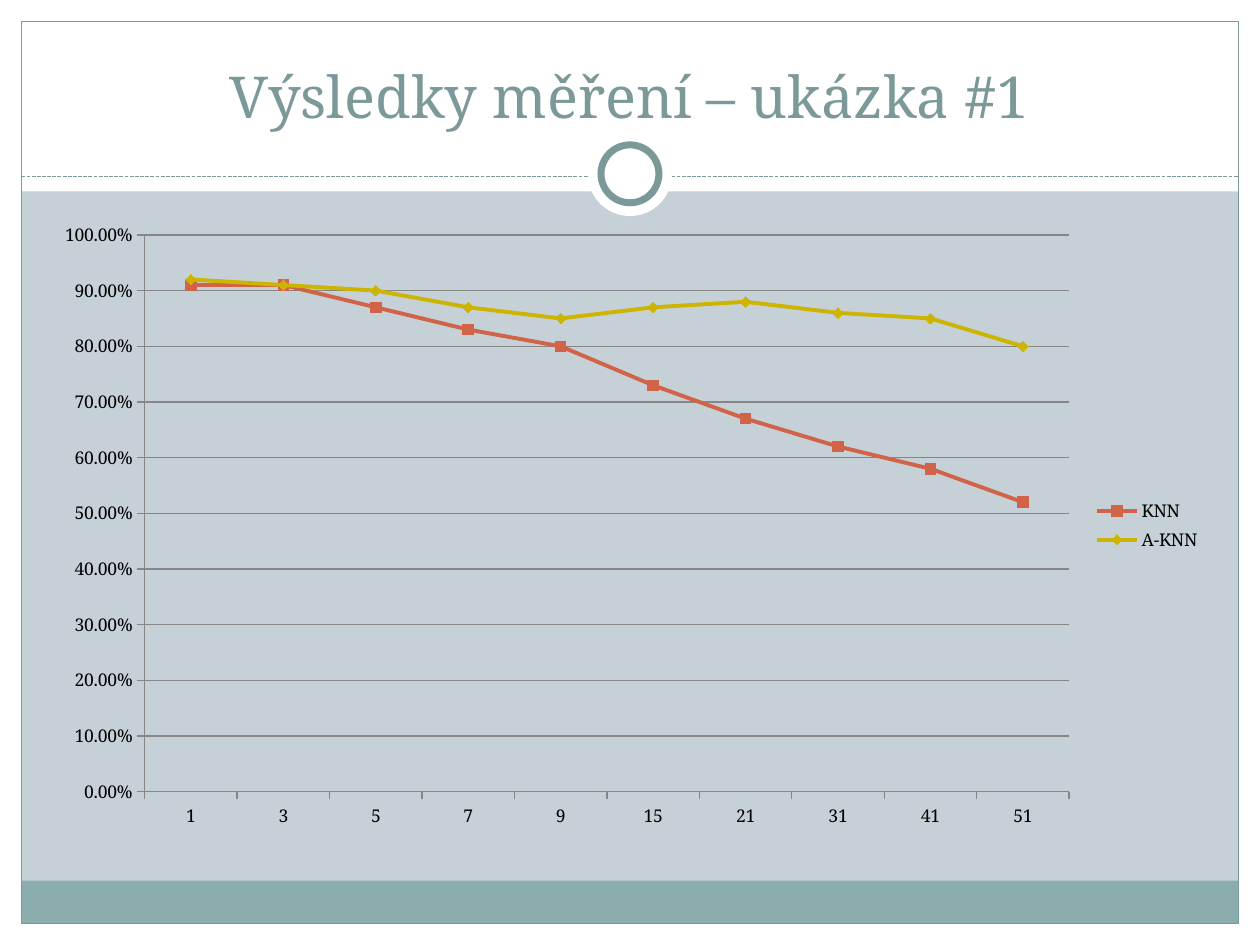
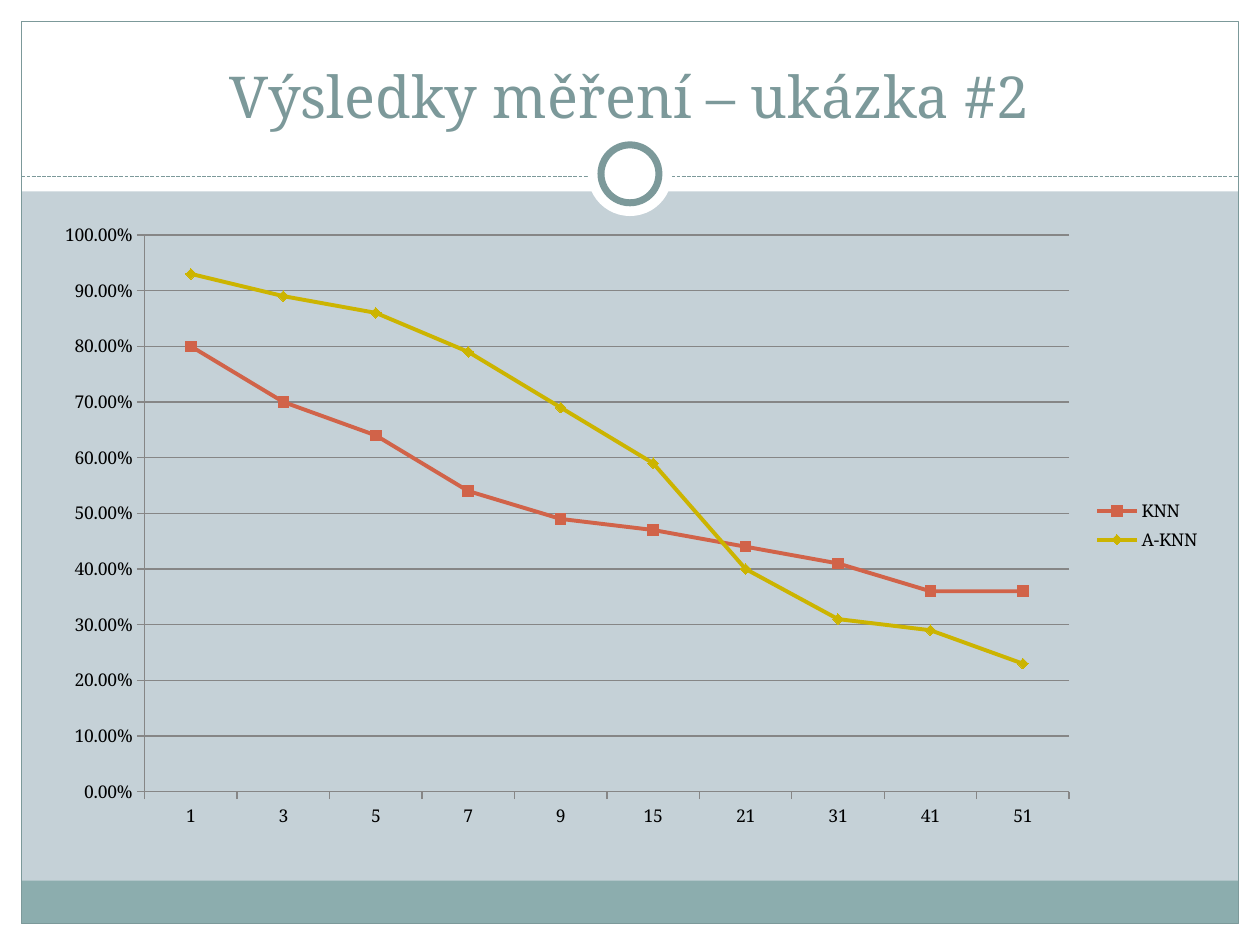
"""Two slides of measurement results, each a line chart in a shared frame."""
from dataclasses import dataclass

from lxml import etree
from pptx import Presentation
from pptx.chart.data import CategoryChartData
from pptx.dml.color import RGBColor
from pptx.enum.chart import (XL_CHART_TYPE, XL_LEGEND_POSITION,
                             XL_MARKER_STYLE, XL_TICK_MARK)
from pptx.enum.dml import MSO_LINE
from pptx.enum.shapes import MSO_CONNECTOR, MSO_SHAPE
from pptx.enum.text import MSO_ANCHOR, PP_ALIGN
from pptx.oxml import parse_xml
from pptx.oxml.ns import nsdecls, qn
from pptx.util import Inches, Pt

RECTANGLE, OVAL = MSO_SHAPE.RECTANGLE, MSO_SHAPE.OVAL
STRAIGHT, DASHED = MSO_CONNECTOR.STRAIGHT, MSO_LINE.SQUARE_DOT
LINE_CHART, LEGEND_RIGHT = XL_CHART_TYPE.LINE_MARKERS, XL_LEGEND_POSITION.RIGHT
SQUARE, DIAMOND = XL_MARKER_STYLE.SQUARE, XL_MARKER_STYLE.DIAMOND
TICK_OUT = XL_TICK_MARK.OUTSIDE
BOTTOM, CENTER = MSO_ANCHOR.BOTTOM, PP_ALIGN.CENTER

WIDTH, HEIGHT = 10, 7.5
MARGIN = 0.17
INNER = WIDTH - 2 * MARGIN
HEADER, FOOTER = 1.52, 0.34
RULE_Y, RING_Y = 1.4, 1.38
TITLE_BOX = (0.33, 0.25, 9.33, 0.83)
CHART_BOX = (0.33, 1.67, 9.3, 5)
PLOT_SHARES = {"x": 0.088, "y": 0.039, "w": 0.789, "h": 0.884}

FONT = "Noto Serif"
WHITE, BLACK, GRAY = "FFFFFF", "000000", "868686"
BACKGROUND, BAND, ACCENT = "C5D1D7", "8CADAE", "7C999A"
SERIES_STYLES = {"KNN": ("D16349", SQUARE), "A-KNN": ("CCB400", DIAMOND)}
NEIGHBOURS = ("1", "3", "5", "7", "9", "15", "21", "31", "41", "51")


@dataclass(frozen=True)
class FramePart:
    """A preset shape of the frame, measured in inches."""
    kind: int
    box: tuple
    fill: str | None = None
    line: str | None = None
    weight: float = 0.75


@dataclass(frozen=True)
class Result:
    """One slide: its title and the accuracy of each method."""
    title: str
    accuracy: dict


def disc(size: float, **style) -> FramePart:
    """Return a circle centred on the header ring."""
    box = (WIDTH / 2 - size / 2, RING_Y - size / 2, size, size)
    return FramePart(OVAL, box, WHITE, **style)


BORDERS = [FramePart(RECTANGLE, box, WHITE) for box in (
    (0, HEIGHT - MARGIN, WIDTH, MARGIN),
    (0, 0, WIDTH, HEADER),
    (0, 0, MARGIN, HEIGHT),
    (WIDTH - MARGIN, 0, MARGIN, HEIGHT),
)]
FOOTER_BAND = FramePart(
    RECTANGLE, (MARGIN, HEIGHT - MARGIN - FOOTER, INNER, FOOTER), BAND)
OUTLINE = FramePart(
    RECTANGLE, (MARGIN, MARGIN, INNER, HEIGHT - 2 * MARGIN), line=ACCENT)
RING = [disc(0.67), disc(0.46, line=ACCENT, weight=4)]

RESULTS = [
    Result("Výsledky měření – ukázka #1", {
        "KNN": (0.91, 0.91, 0.87, 0.83, 0.8, 0.73, 0.67, 0.62, 0.58, 0.52),
        "A-KNN": (0.92, 0.91, 0.9, 0.87, 0.85, 0.87, 0.88, 0.86, 0.85, 0.8),
    }),
    Result("Výsledky měření – ukázka #2", {
        "KNN": (0.8, 0.7, 0.64, 0.54, 0.49, 0.47, 0.44, 0.41, 0.36, 0.36),
        "A-KNN": (0.93, 0.89, 0.86, 0.79, 0.69, 0.59, 0.4, 0.31, 0.29, 0.23),
    }),
]


def paint(fill, color: str) -> None:
    """Make a fill solid in a hex colour."""
    fill.solid()
    fill.fore_color.rgb = RGBColor.from_string(color)


def stroke(line, color: str, weight: float) -> None:
    """Set the colour and the width in points of a line."""
    paint(line.fill, color)
    line.width = Pt(weight)


def style_font(font, size: float, color: str) -> None:
    """Set the shared typeface with a size and a colour."""
    font.name, font.size = FONT, Pt(size)
    paint(font.fill, color)


def place(shape, box: tuple) -> None:
    """Move and size a shape to a box in inches."""
    shape.left, shape.top, shape.width, shape.height = map(Inches, box)


def draw_part(page, part: FramePart):
    """Draw one frame part and return its shape."""
    shape = page.shapes.add_shape(part.kind, *map(Inches, part.box))
    shape.shadow.inherit = False
    if part.fill:
        paint(shape.fill, part.fill)
    else:
        shape.fill.background()
    if part.line:
        stroke(shape.line, part.line, part.weight)
    else:
        shape.line.fill.background()
    return shape


def draw_rule(page):
    """Draw the dashed rule below the title and return it."""
    rule = page.shapes.add_connector(
        STRAIGHT, *map(Inches, (MARGIN, RULE_Y, WIDTH - MARGIN, RULE_Y)))
    stroke(rule.line, ACCENT, 0.75)
    rule.line.dash_style = DASHED
    etree.SubElement(rule.element.spPr, qn("a:effectLst"))
    return rule


def prepare_layout(layout) -> None:
    """Set the background and title place, and drop the other placeholders."""
    paint(layout.background.fill, BACKGROUND)
    for holder in list(layout.placeholders):
        if holder.placeholder_format.idx == 0:
            place(holder, TITLE_BOX)
        else:
            layout.shapes.element.remove(holder.element)


def move_frame_to_layout(page, layout) -> None:
    """Draw the frame with a page's tools and hand it to the layout."""
    frame = [draw_part(page, part) for part in (*BORDERS, FOOTER_BAND, OUTLINE)]
    frame.append(draw_rule(page))
    frame += [draw_part(page, part) for part in RING]
    for shape in frame:
        layout.shapes.element.append(shape.element)


def write_title(page, text: str) -> None:
    """Fill and format the title placeholder."""
    title = page.shapes.title
    place(title, TITLE_BOX)
    title.text_frame.vertical_anchor = BOTTOM
    title.text_frame.word_wrap = True
    para = title.text_frame.paragraphs[0]
    para.alignment = CENTER
    span = para.add_run()
    span.text = text
    style_font(span.font, 33, ACCENT)


def fix_plot_area(chart) -> None:
    """Pin the inner plot area to shares of the chart's size."""
    shares = "".join(f'<c:{name} val="{share}"/>'
                     for name, share in PLOT_SHARES.items())
    layout = parse_xml(
        f'<c:layout {nsdecls("c")}><c:manualLayout>'
        '<c:layoutTarget val="inner"/><c:xMode val="edge"/>'
        f'<c:yMode val="edge"/>{shares}</c:manualLayout></c:layout>')
    area = chart.element.find(".//" + qn("c:plotArea"))
    for former in area.findall(qn("c:layout")):
        area.remove(former)
    area.insert(0, layout)


def draw_chart(page, accuracy: dict) -> None:
    """Draw the accuracy of each method against the neighbour count."""
    chart_data = CategoryChartData(number_format="0.00%")
    chart_data.categories = NEIGHBOURS
    for name, values in accuracy.items():
        chart_data.add_series(name, values)
    chart = page.shapes.add_chart(
        LINE_CHART, *map(Inches, CHART_BOX), chart_data).chart
    style_font(chart.font, 10, BLACK)
    chart.has_title = False
    chart.has_legend = True
    chart.legend.position = LEGEND_RIGHT
    chart.legend.include_in_layout = False

    for axis in (chart.category_axis, chart.value_axis):
        axis.major_tick_mark = TICK_OUT
        stroke(axis.format.line, GRAY, 0.75)
    scale = chart.value_axis
    scale.minimum_scale, scale.maximum_scale, scale.major_unit = 0, 1, 0.1
    scale.has_major_gridlines = True
    stroke(scale.major_gridlines.format.line, GRAY, 0.75)
    scale.tick_labels.number_format = "0.00%"
    scale.tick_labels.number_format_is_linked = False

    plot = chart.plots[0]
    plot.vary_by_categories = False
    for series in plot.series:
        color, marker = SERIES_STYLES[series.name]
        series.smooth = False
        stroke(series.format.line, color, 2.25)
        series.marker.style, series.marker.size = marker, 6
        paint(series.marker.format.fill, color)
        stroke(series.marker.format.line, color, 0.75)
    fix_plot_area(chart)


def main() -> None:
    """Build and save the deck."""
    deck = Presentation()
    deck.slide_width, deck.slide_height = Inches(WIDTH), Inches(HEIGHT)
    layout = deck.slide_layouts.get_by_name("Title Only")
    prepare_layout(layout)
    pages = [deck.slides.add_slide(layout) for _ in RESULTS]
    move_frame_to_layout(pages[0], layout)
    for page, result in zip(pages, RESULTS):
        write_title(page, result.title)
        draw_chart(page, result.accuracy)
    deck.save("out.pptx")


main()
